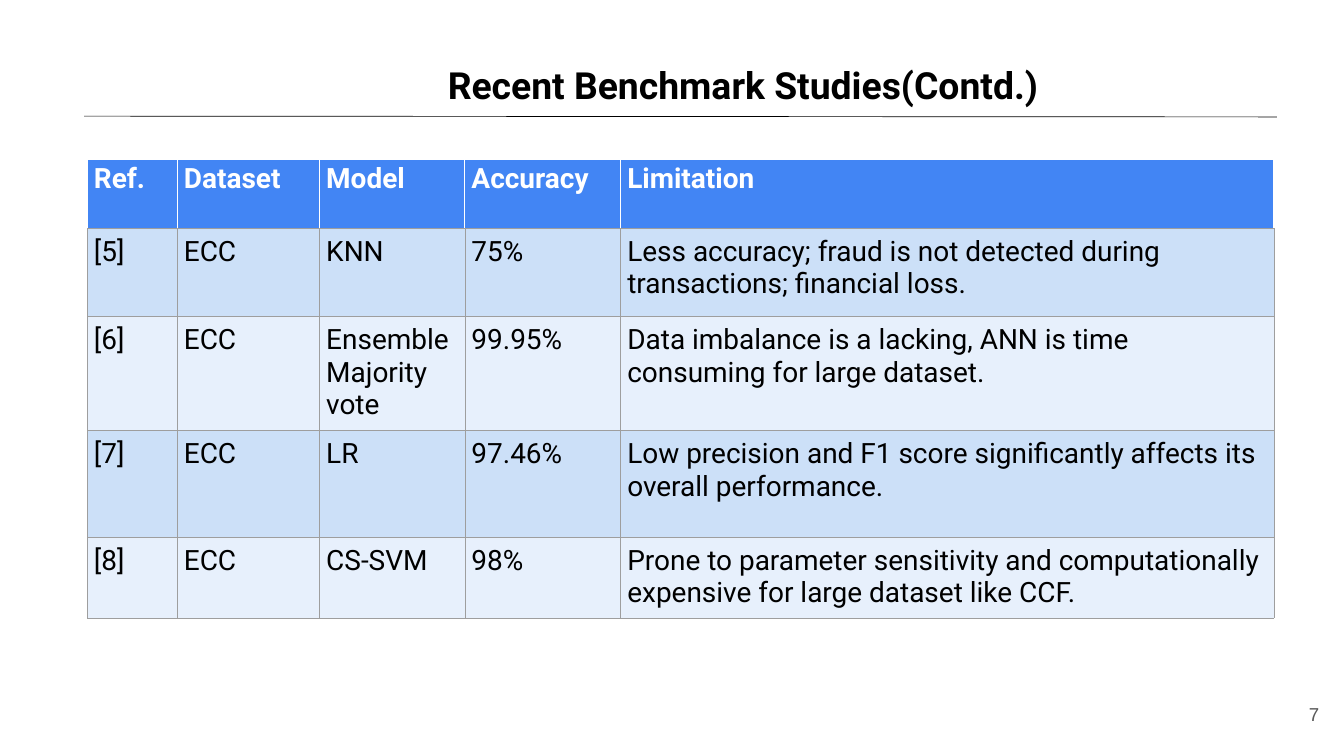
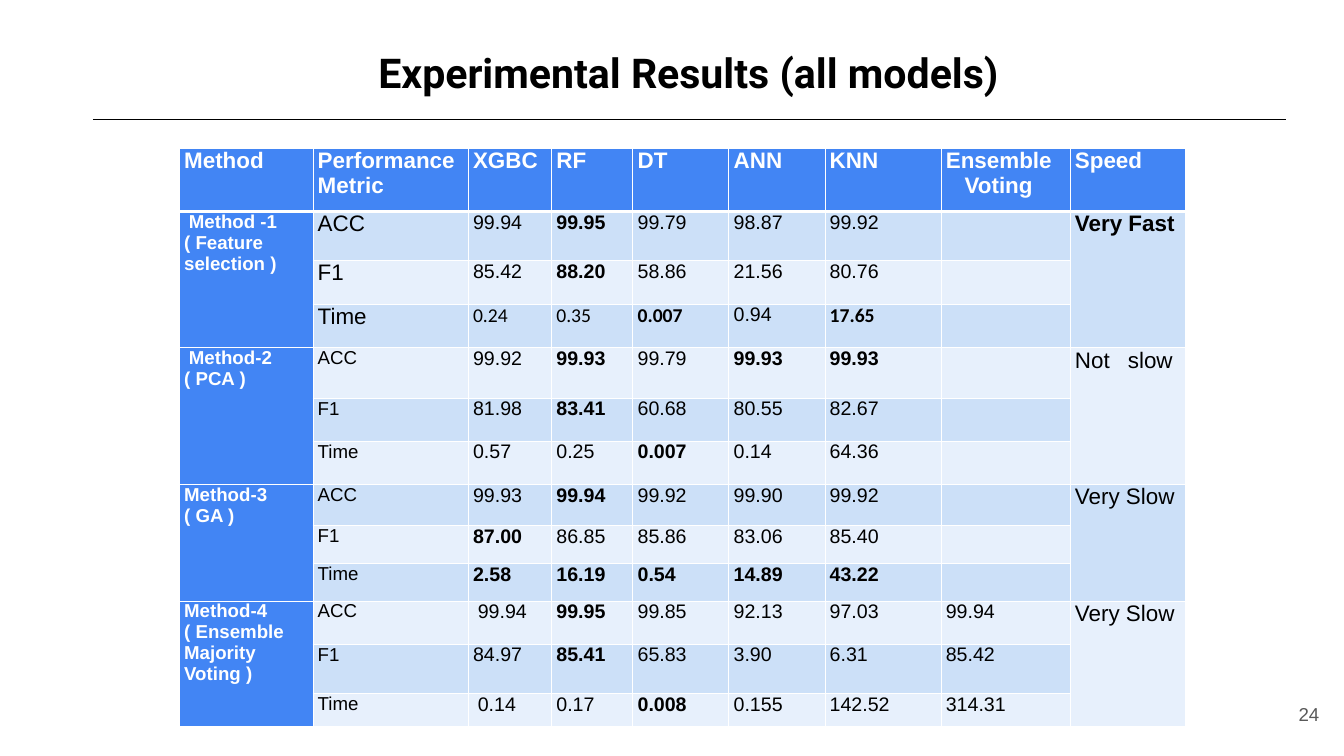
from dataclasses import dataclass
from typing import NamedTuple, Sequence

from lxml.etree import SubElement
from pptx import Presentation
from pptx.dml.color import RGBColor
from pptx.enum.shapes import MSO_CONNECTOR as Connector
from pptx.enum.text import MSO_ANCHOR as Anchor, PP_ALIGN as Align
from pptx.oxml import parse_xml
from pptx.oxml.ns import nsdecls, qn
from pptx.util import Cm, Pt


@dataclass(frozen=True)
class Theme:
    black: str = "000000"
    white: str = "FFFFFF"
    gray: str = "595959"
    grid: str = "9E9E9E"
    header: str = "4285F4"
    bands: tuple[str, str] = ("CCE0F8", "E7F0FC")
    heading_font: str = "Roboto"
    body_font: str = "Arial"
    number_font: str = "Calibri"
    study_size: int = 30
    label_size: int = 24
    value_size: int = 21
    small_size: int = 20


THEME = Theme()


class Box(NamedTuple):
    left: float
    top: float
    width: float
    height: float


class Line(NamedTuple):
    text: str
    indent: float = 0
    tab: float = 0


class Border(NamedTuple):
    color: str
    points: float


class Margins(NamedTuple):
    side: float
    edge: float


class TitleStyle(NamedTuple):
    box: Box
    size: int
    spacing: float
    anchor: Anchor


class Rule(NamedTuple):
    left: float
    start_y: float
    right: float
    end_y: float


@dataclass(frozen=True)
class Grid:
    left: float
    top: float
    columns: Sequence[float]
    rows: Sequence[float]
    border: Border
    header_border: Border


@dataclass(frozen=True)
class Metric:
    name: str
    values: Sequence[str]
    bold: Sequence[int] = ()
    calibri: Sequence[int] = ()
    indented: Sequence[int] = ()


@dataclass(frozen=True)
class Method:
    name: Sequence[Line]
    speed: Line
    metrics: Sequence[Metric]
    name_size: int = THEME.small_size
    speed_bold: bool = False


PAGE_NUMBER = Box(47.07, 25.91, 3.05, 2.18)
WHITE_LINE = Border(THEME.white, 1)
GRAY_LINE = Border(THEME.grid, 0.75)
TEXT_MARGINS = Margins(0.25, 0.13)
STUDY_MARGINS = Margins(0.25, 0.25)
RESULT_MARGINS = Margins(0.18, 0)
NUDGE = 0.18

STUDY_GRID = Grid(3.3, 6.02, (3.4, 5.38, 5.49, 5.89, 24.69),
                  (2.62, 3.33, 3.38, 4.04, 3.02), GRAY_LINE, GRAY_LINE)
STUDIES = (
    ("Ref.", "Dataset", "Model", "Accuracy", "Limitation"),
    ("[5]", "ECC", "KNN", "75%",
     "Less accuracy; fraud is not detected during transactions; financial loss."),
    ("[6]", "ECC", "Ensemble Majority vote", "99.95%",
     "Data imbalance is a lacking, ANN is time consuming for large dataset."),
    ("[7]", "ECC", "LR", "97.46%",
     "Low precision and F1 score significantly affects its overall performance."),
    ("[8]", "ECC", "CS-SVM", "98%",
     "Prone to parameter sensitivity and computationally expensive for large dataset like CCF."),
)

RESULT_GRID = Grid(
    6.78, 5.61, (5.05, 5.87, 3.15, 3.07, 3.63, 3.63, 4.39, 4.88, 4.37),
    (2.39, 1.85, 1.65, 1.65, 1.9, 1.63, 1.63, 1.57, 1.42, 1.42, 1.63, 1.88, 1.22),
    WHITE_LINE, Border(THEME.white, 3))
RESULT_HEADER = (
    (Line("Method"),), (Line("Performance Metric"),), (Line("XGBC"),), (Line("RF"),),
    (Line("DT"),), (Line("ANN"),), (Line("KNN"),),
    (Line("Ensemble"), Line("Voting", indent=0.71)), (Line("Speed"),),
)
METHODS = (
    Method((Line("Method -1", NUDGE), Line("( Feature selection )")), Line("Very Fast"), (
        Metric("ACC", ("99.94", "99.95", "99.79", "98.87", "99.92", ""), bold=(1,)),
        Metric("F1", ("85.42", "88.20", "58.86", "21.56", "80.76", ""), bold=(1,)),
        Metric("Time", ("0.24", "0.35", "0.007", "0.94", "17.65", ""),
               bold=(2, 4), calibri=(0, 1, 2, 4)),
    ), name_size=THEME.label_size, speed_bold=True),
    Method((Line("Method-2", NUDGE), Line("( PCA )")), Line("Not\tslow", tab=2), (
        Metric("ACC", ("99.92", "99.93", "99.79", "99.93", "99.93", ""), bold=(1, 3, 4)),
        Metric("F1", ("81.98", "83.41", "60.68", "80.55", "82.67", ""), bold=(1,)),
        Metric("Time", ("0.57", "0.25", "0.007", "0.14", "64.36", ""), bold=(2,)),
    )),
    Method((Line("Method-3"), Line("( GA )")), Line("Very Slow"), (
        Metric("ACC", ("99.93", "99.94", "99.92", "99.90", "99.92", ""), bold=(1,)),
        Metric("F1", ("87.00", "86.85", "85.86", "83.06", "85.40", ""), bold=(0,)),
        Metric("Time", ("2.58", "16.19", "0.54", "14.89", "43.22", ""), bold=range(5)),
    )),
    Method((Line("Method-4"), Line("( Ensemble Majority Voting )")), Line("Very Slow"), (
        Metric("ACC", ("99.94", "99.95", "99.85", "92.13", "97.03", "99.94"),
               bold=(1,), indented=(0,)),
        Metric("F1", ("84.97", "85.41", "65.83", "3.90", "6.31", "85.42"), bold=(1,)),
        Metric("Time", ("0.14", "0.17", "0.008", "0.155", "142.52", "314.31"),
               bold=(2,), indented=(0,)),
    )),
)


def write_text(frame, lines: Sequence[Line], *, size: int, font: str = THEME.body_font,
               color: str = THEME.black, bold: bool = False, align: Align = Align.LEFT,
               spacing: float = 1.0) -> None:
    frame.word_wrap = True
    for index, line in enumerate(lines):
        paragraph = frame.add_paragraph() if index else frame.paragraphs[0]
        paragraph.alignment = align
        paragraph.line_spacing = spacing
        properties = paragraph._p.get_or_add_pPr()
        if line.indent:
            properties.set("marL", str(Cm(line.indent)))
        if line.tab:
            tabs = SubElement(properties, qn("a:tabLst"))
            SubElement(tabs, qn("a:tab"), pos=str(Cm(line.tab)), algn="l")
        run = paragraph.add_run()
        run.text = line.text
        run.font.name = font
        run.font.size = Pt(size)
        run.font.bold = bold
        run.font.color.rgb = RGBColor.from_string(color)


def set_margins(target, margins: Margins) -> None:
    target.margin_left = target.margin_right = Cm(margins.side)
    target.margin_top = target.margin_bottom = Cm(margins.edge)


def add_text(slide, box: Box, text: str, *, anchor: Anchor = Anchor.MIDDLE,
             margins: Margins = TEXT_MARGINS, **text_format) -> None:
    frame = slide.shapes.add_textbox(*map(Cm, box)).text_frame
    set_margins(frame, margins)
    frame.vertical_anchor = anchor
    write_text(frame, (Line(text),), **text_format)


def add_rule(slide, rule: Rule) -> None:
    connector = slide.shapes.add_connector(Connector.STRAIGHT, *map(Cm, rule))
    connector.line.color.rgb = RGBColor.from_string(THEME.black)
    connector.line.width = Pt(0.75)
    SubElement(connector._element.spPr, qn("a:effectLst"))


def set_borders(cell, borders: Sequence[Border]) -> None:
    properties = cell._tc.get_or_add_tcPr()
    for index, (side, border) in enumerate(zip("LRTB", borders)):
        properties.insert(index, parse_xml(
            f'<a:ln{side} {nsdecls("a")} w="{Pt(border.points)}"><a:solidFill>'
            f'<a:srgbClr val="{border.color}"/></a:solidFill></a:ln{side}>'))


def fill_cell(cell, color: str) -> None:
    cell.fill.solid()
    cell.fill.fore_color.rgb = RGBColor.from_string(color)


def add_grid(slide, grid: Grid, margins: Margins):
    table = slide.shapes.add_table(
        len(grid.rows), len(grid.columns), Cm(grid.left), Cm(grid.top),
        Cm(sum(grid.columns)), Cm(sum(grid.rows))).table
    table.horz_banding = False
    for column, width in zip(table.columns, grid.columns):
        column.width = Cm(width)
    for index, (row, height) in enumerate(zip(table.rows, grid.rows)):
        row.height = Cm(height)
        for cell in row.cells:
            set_margins(cell, margins)
            fill_cell(cell, THEME.bands[(index - 1) % 2] if index else THEME.header)
            set_borders(cell, (grid.border,) * 4 if index
                        else (WHITE_LINE,) * 3 + (grid.header_border,))
    return table


def add_studies(slide) -> None:
    table = add_grid(slide, STUDY_GRID, STUDY_MARGINS)
    for index, study in enumerate(STUDIES):
        is_header = index == 0
        for cell, text in zip(table.rows[index].cells, study):
            if is_header:
                set_margins(cell, TEXT_MARGINS)
            write_text(cell.text_frame, (Line(text),), size=THEME.study_size,
                       font=THEME.heading_font, bold=is_header,
                       color=THEME.white if is_header else THEME.black)


def write_metric(cells: Sequence, metric: Metric, name_size: int) -> None:
    write_text(cells[0].text_frame, (Line(metric.name),), size=name_size)
    for index, (cell, value) in enumerate(zip(cells[1:], metric.values)):
        if value:
            write_text(cell.text_frame, (Line(value, NUDGE if index in metric.indented else 0),),
                       size=THEME.value_size, bold=index in metric.bold,
                       font=THEME.number_font if index in metric.calibri else THEME.body_font)


def add_results(slide) -> None:
    table = add_grid(slide, RESULT_GRID, RESULT_MARGINS)
    for cell, lines in zip(table.rows[0].cells, RESULT_HEADER):
        write_text(cell.text_frame, lines, size=THEME.label_size, color=THEME.white, bold=True)
    last = len(RESULT_GRID.columns) - 1
    first_row = 1
    for method in METHODS:
        end_row = first_row + len(method.metrics) - 1
        for column in (0, last):
            table.cell(first_row, column).merge(table.cell(end_row, column))
        for row in range(first_row, end_row + 1):
            fill_cell(table.cell(row, 0), THEME.header)
            cells = [table.cell(row, column) for column in range(1, last)]
            write_metric(cells, method.metrics[row - first_row], method.name_size)
        write_text(table.cell(first_row, 0).text_frame, method.name,
                   size=THEME.small_size, color=THEME.white, bold=True)
        write_text(table.cell(first_row, last).text_frame, (method.speed,),
                   size=THEME.label_size, bold=method.speed_bold)
        first_row = end_row + 1


def add_slide(presentation, title: str, style: TitleStyle, rule: Rule, number: int):
    slide = presentation.slides.add_slide(presentation.slide_layouts[6])
    add_text(slide, style.box, title, anchor=style.anchor, margins=Margins(0, 0),
             size=style.size, font=THEME.heading_font, bold=True, align=Align.CENTER,
             spacing=style.spacing)
    add_rule(slide, rule)
    add_text(slide, PAGE_NUMBER, str(number), size=THEME.small_size,
             color=THEME.gray, align=Align.RIGHT)
    return slide


def main() -> None:
    presentation = Presentation()
    presentation.slide_width = Cm(50.8)
    presentation.slide_height = Cm(28.58)
    add_studies(add_slide(
        presentation, "Recent Benchmark Studies(Contd.)",
        TitleStyle(Box(14.71, 2.01, 26.75, 1.7), 40, 1.2, Anchor.TOP),
        Rule(3.18, 4.39, 48.26, 4.42), 7))
    add_results(add_slide(
        presentation, "Experimental Results (all models)",
        TitleStyle(Box(4.45, 0.89, 43.18, 3.89), 44, 0.9, Anchor.MIDDLE),
        Rule(3.51, 4.52, 48.59, 4.52), 24))
    presentation.save("out.pptx")


if __name__ == "__main__":
    main()
